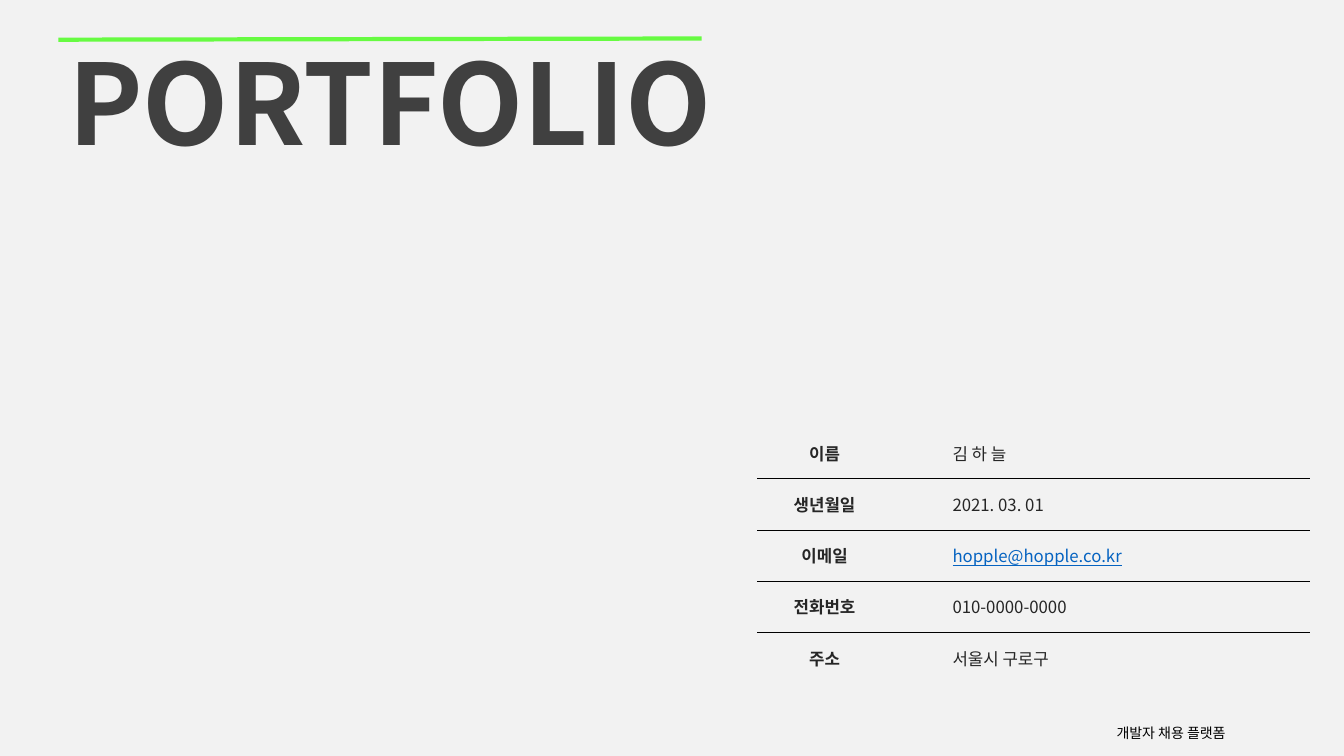
"""Build the cover slide of a developer portfolio."""
from typing import NamedTuple

from lxml.etree import SubElement
from pptx import Presentation
from pptx.dml.color import RGBColor
from pptx.enum.shapes import MSO_CONNECTOR
from pptx.enum.text import MSO_ANCHOR, PP_ALIGN
from pptx.oxml.ns import qn
from pptx.util import Cm, Pt

FONT = "Noto Sans CJK KR"
PAPER = RGBColor(0xF2, 0xF2, 0xF2)
GREEN = RGBColor(0x67, 0xFB, 0x42)
GRAY = RGBColor(0x40, 0x40, 0x40)
INK = RGBColor(0x26, 0x26, 0x26)
BLUE = RGBColor(0x05, 0x63, 0xC1)
BLACK = RGBColor(0, 0, 0)
PLAIN = "{2D5ABB26-0587-4C30-8999-92F81FD0307C}"


class Label(NamedTuple):
    text: str
    left: float
    top: float
    width: float
    height: float
    size: int
    color: RGBColor
    bold: bool = False


class Entry(NamedTuple):
    name: str
    value: str
    color: RGBColor = INK
    under: bool = False


LABELS = [
    Label("개발자 채용 플랫폼", 27.89, 18.14, 4.11, 0.71, 10, BLACK),
    Label("PORTFOLIO", 1.47, 0.72, 22.15, 3.68, 80, GRAY, True),
]
ENTRIES = [
    Entry("이름", "김 하 늘"),
    Entry("생년월일", "2021. 03. 01"),
    Entry("이메일", "hopple@hopple.co.kr", BLUE, True),
    Entry("전화번호", "010-0000-0000"),
    Entry("주소", "서울시 구로구"),
]


def style(para, size: int, color: RGBColor, bold: bool = False) -> None:
    """Set the font of a paragraph, for Latin and Korean letters."""
    font = para.font
    font.name, font.size, font.bold = FONT, Pt(size), bold
    font.color.rgb = color
    props = para._p.pPr.find(qn("a:defRPr"))
    east = SubElement(props, qn("a:ea"), typeface=FONT)
    props.find(qn("a:latin")).addnext(east)


def add_label(slide, label: Label) -> None:
    """Add one line of free text."""
    box = slide.shapes.add_textbox(
        Cm(label.left), Cm(label.top), Cm(label.width), Cm(label.height))
    frame = box.text_frame
    frame.word_wrap = True
    para = frame.paragraphs[0]
    para.text = label.text
    style(para, label.size, label.color, label.bold)


def add_rule(slide) -> None:
    """Add the green line above the title."""
    rule = slide.shapes.add_connector(
        MSO_CONNECTOR.STRAIGHT, Cm(1.47), Cm(1), Cm(17.68), Cm(0.97))
    rule.line.color.rgb = GREEN
    rule.line.width = Pt(3)
    SubElement(rule._element.spPr, qn("a:effectLst"))


def fill_cell(cell, text: str, color: RGBColor, bold: bool):
    """Write a table cell and return its paragraph."""
    cell.fill.background()
    cell.vertical_anchor = MSO_ANCHOR.MIDDLE
    para = cell.text_frame.paragraphs[0]
    para.text = text
    style(para, 12, color, bold)
    return para


def add_edge(cell, side: str) -> None:
    """Draw a thin black border on one side of a cell."""
    props = cell._tc.get_or_add_tcPr()
    edge = props.makeelement(qn(f"a:{side}"), {"w": str(Pt(0.25))})
    fill = SubElement(edge, qn("a:solidFill"))
    SubElement(fill, qn("a:srgbClr"), val=str(BLACK))
    props.insert(0, edge)


def add_table(slide, entries: list[Entry]) -> None:
    """Add the table of personal details."""
    frame = slide.shapes.add_table(
        len(entries), 2, Cm(19.08), Cm(10.77), Cm(13.94), Cm(6.45))
    table = frame.table
    table.first_row = table.horz_banding = False
    table._tbl.tblPr.find(qn("a:tableStyleId")).text = PLAIN
    table.columns[0].width, table.columns[1].width = Cm(3.4), Cm(10.54)
    for row, entry in enumerate(entries):
        name, value = table.cell(row, 0), table.cell(row, 1)
        head = fill_cell(name, entry.name, INK, True)
        head.alignment = PP_ALIGN.CENTER
        para = fill_cell(value, entry.value, entry.color, False)
        para.font.underline = entry.under
        para.level = 1
        props = para._p.get_or_add_pPr()
        props.set("marL", str(Cm(1.27)))
        props.set("indent", "0")
        for cell in (name, value):
            if row < len(entries) - 1:
                add_edge(cell, "lnB")
            if row:
                add_edge(cell, "lnT")


def main() -> None:
    """Build and save the slide."""
    deck = Presentation()
    deck.slide_width, deck.slide_height = Cm(33.87), Cm(19.05)
    slide = deck.slides.add_slide(deck.slide_layouts[6])
    slide.background.fill.solid()
    slide.background.fill.fore_color.rgb = PAPER
    for label in LABELS:
        add_label(slide, label)
    add_rule(slide)
    add_table(slide, ENTRIES)
    deck.save("out.pptx")


if __name__ == "__main__":
    main()
